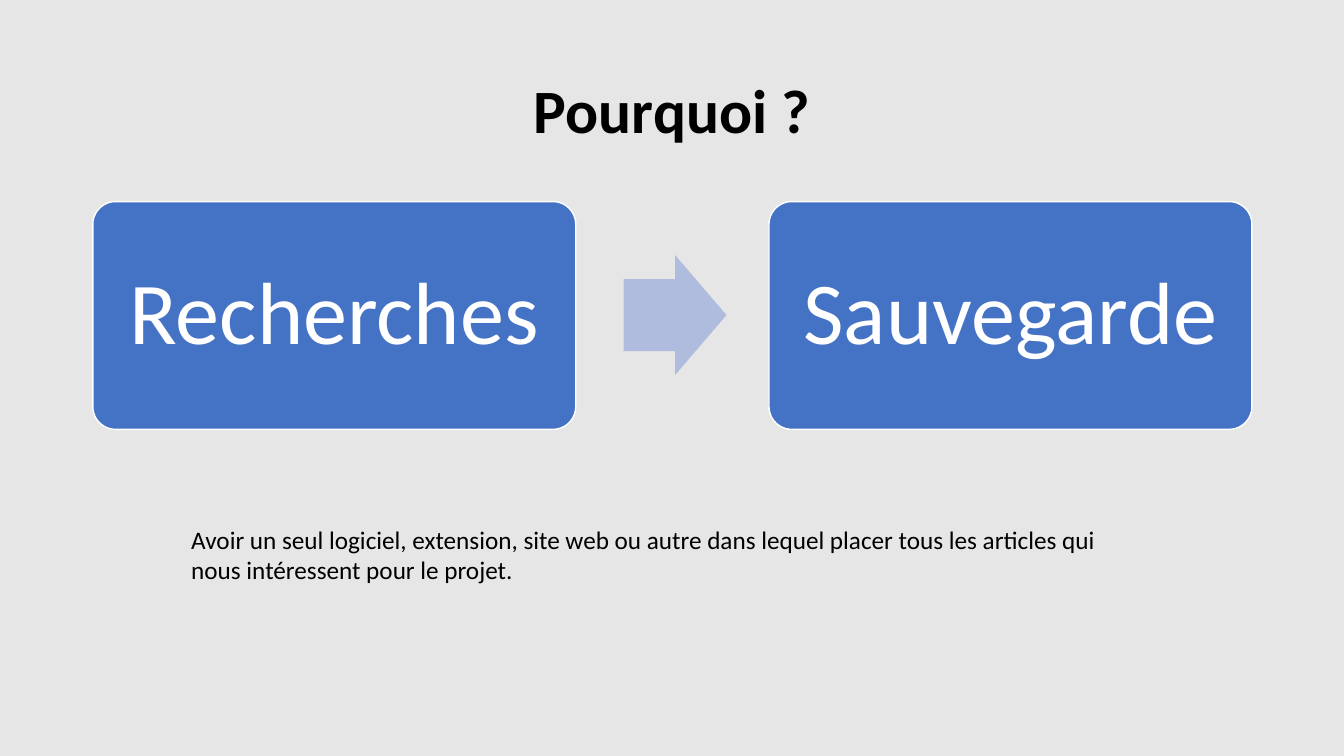
from pptx import Presentation
from pptx import util as u
from pptx.dml.color import RGBColor
from pptx.enum import shapes, text

INK, WHITE, BLUE, PALE, GREY = "000000", "FFFFFF", "4472C4", "B0BCDE", "E7E6E6"
KIND = shapes.MSO_SHAPE


def paint(fill, tone):
    fill.solid()
    fill.fore_color.rgb = RGBColor.from_string(tone)


def apply(obj, form):
    for name, value in form.items():
        setattr(obj, name, value)


def write(shape, words, size, tone, frame=None, para=None, bold=False):
    """Fill the text frame of a shape with one paragraph."""
    body = shape.text_frame
    apply(body, {"word_wrap": True, **(frame or {})})
    line = body.paragraphs[0]
    apply(line, para or {})
    run = line.add_run()
    run.text = words
    apply(run.font, {"name": "Calibri", "size": u.Pt(size), "bold": bold})
    paint(run.font.fill, tone)


def label(slide, box, words, size, **form):
    shape = slide.shapes.add_textbox(*map(u.Cm, box))
    write(shape, words, size, INK, **form)


def block(slide, kind, box, tone, adjust):
    """Draw a flat preset shape without outline."""
    shape = slide.shapes.add_shape(kind, *map(u.Cm, box))
    shape.shadow.inherit = False
    paint(shape.fill, tone)
    shape.line.fill.background()
    for i, value in enumerate(adjust):
        shape.adjustments[i] = value
    return shape


def card(slide, box, words, frame, para):
    shape = block(slide, KIND.ROUNDED_RECTANGLE, box, BLUE, [0.1])
    paint(shape.line.fill, WHITE)
    shape.line.width = u.Pt(1)
    write(shape, words, 63, WHITE, frame, para)


def main():
    deck = Presentation()
    apply(deck, {"slide_width": u.Cm(33.87), "slide_height": u.Cm(19.05)})
    slide = deck.slides.add_slide(deck.slide_layouts[6])
    paint(slide.background.fill, GREY)

    middle = {"vertical_anchor": text.MSO_ANCHOR.MIDDLE}
    center = {"alignment": text.PP_ALIGN.CENTER, "line_spacing": 0.9}

    # Title
    label(slide, (2.33, 1.02, 29.21, 3.68), "Pourquoi ?", 44,
          frame=middle, para=center, bold=True)

    # Two steps joined by an arrow
    sides = ("margin_left", "margin_right", "margin_top", "margin_bottom")
    inset = {**middle, **dict.fromkeys(sides, u.Cm(0.65))}
    left, step = 2.34, 17.04
    for i, words in enumerate(("Recherches", "Sauvegarde")):
        card(slide, (left + i * step, 5.08, 12.17, 5.74), words, inset, center)
    block(slide, KIND.RIGHT_ARROW, (15.72, 6.43, 2.59, 3.02), PALE, [0.6, 0.5])

    # Explanation
    label(slide, (4.57, 13.08, 24.61, 1.8),
          "Avoir un seul logiciel, extension, site web ou autre dans lequel "
          "placer tous les articles qui nous intéressent pour le projet.", 18,
          frame={"auto_size": text.MSO_AUTO_SIZE.SHAPE_TO_FIT_TEXT})

    deck.save("out.pptx")


main()
